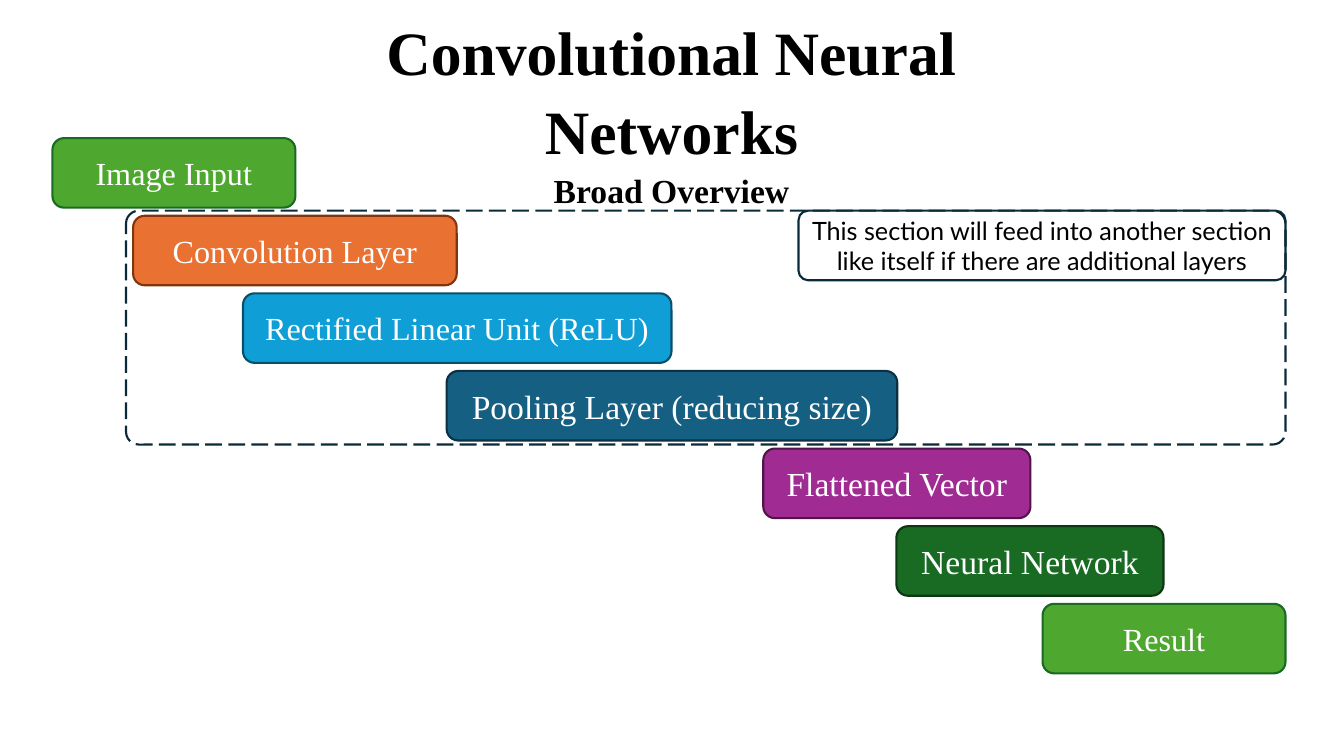
from pptx import Presentation
from pptx import util as u
from pptx.dml.color import RGBColor
from pptx.enum import dml, shapes, text

WIDTH, HEIGHT = 13.33, 7.5
SERIF = "Times New Roman"
FIRST_ROW, ROW_PITCH, BOX_HEIGHT = 1.37, 0.77, 0.69

# Text, left, width, fill, line, font size; one stage per row
STAGES = [
    ("Image Input", 0.52, 2.41, "4EA72E", "196B24", 23),
    ("Convolution Layer", 1.32, 3.21, "E97132", "80350E", 23),
    ("Rectified Linear Unit (ReLU)", 2.41, 4.25, "0F9ED5", "084F6A", 23),
    ("Pooling Layer (reducing size)", 4.43, 4.47, "156082", "0B3041", 24),
    ("Flattened Vector", 7.57, 2.65, "A02B93", "501649", 24),
    ("Neural Network", 8.89, 2.65, "196B24", "0D3612", 24),
    ("Result", 10.34, 2.41, "4EA72E", "196B24", 23),
]
NOTE = "This section will feed into another section like itself if there are additional layers"


def color(value):
    return RGBColor.from_string(value)


def write(p, words, font_color, **formats):
    p.alignment = text.PP_ALIGN.CENTER
    r = p.add_run()
    r.text = words
    r.font.color.rgb = color(font_color)
    for name, value in formats.items():
        setattr(r.font, name, value)


def add_box(s, left, top, width, height, line, fill=None, corner=None):
    sp = s.shapes.add_shape(shapes.MSO_SHAPE.ROUNDED_RECTANGLE,
                            *map(u.Inches, (left, top, width, height)))
    sp.shadow.inherit = False
    if corner is not None:
        sp.adjustments[0] = corner
    if fill:
        sp.fill.solid()
        sp.fill.fore_color.rgb = color(fill)
    else:
        sp.fill.background()
    sp.line.color.rgb = color(line)
    sp.line.width = u.Pt(1.5)
    tf = sp.text_frame
    tf.word_wrap = True
    tf.vertical_anchor = text.MSO_ANCHOR.MIDDLE
    return sp


def add_title(s):
    sp = s.shapes.add_textbox(*map(u.Inches, (2.5, 0.04, 8.32, 1.25)))
    tf = sp.text_frame
    tf.word_wrap = True
    lines = [("Convolutional Neural Networks", 44), ("Broad Overview", 24)]
    for i, (words, size) in enumerate(lines):
        p = tf.add_paragraph() if i else tf.paragraphs[0]
        p.line_spacing = 1.07
        write(p, words, "000000", name=SERIF, size=u.Pt(size), bold=True)


def add_stages(s):
    for row, (words, left, width, fill, line, size) in enumerate(STAGES):
        sp = add_box(s, left, FIRST_ROW + row * ROW_PITCH, width, BOX_HEIGHT, line, fill)
        write(sp.text_frame.paragraphs[0], words, "FFFFFF", name=SERIF, size=u.Pt(size))


def add_repeated_section(s):
    """Dashed frame around the repeatable layers, with its note at top right."""
    left, top, width, note_width = 1.25, 2.09, 11.5, 4.83
    frame = add_box(s, left, top, width, 2.32, "092A39", corner=0.055)
    frame.line.dash_style = dml.MSO_LINE.LONG_DASH
    note = add_box(s, left + width - note_width, top, note_width, BOX_HEIGHT,
                   "092A39", corner=0.137)
    write(note.text_frame.paragraphs[0], NOTE, "000000", name="Lato", size=u.Pt(18))


def main():
    prs = Presentation()
    prs.slide_width, prs.slide_height = u.Inches(WIDTH), u.Inches(HEIGHT)
    s = prs.slides.add_slide(prs.slide_layouts[6])
    add_title(s)
    add_stages(s)
    add_repeated_section(s)
    prs.save("out.pptx")


if __name__ == "__main__":
    main()
